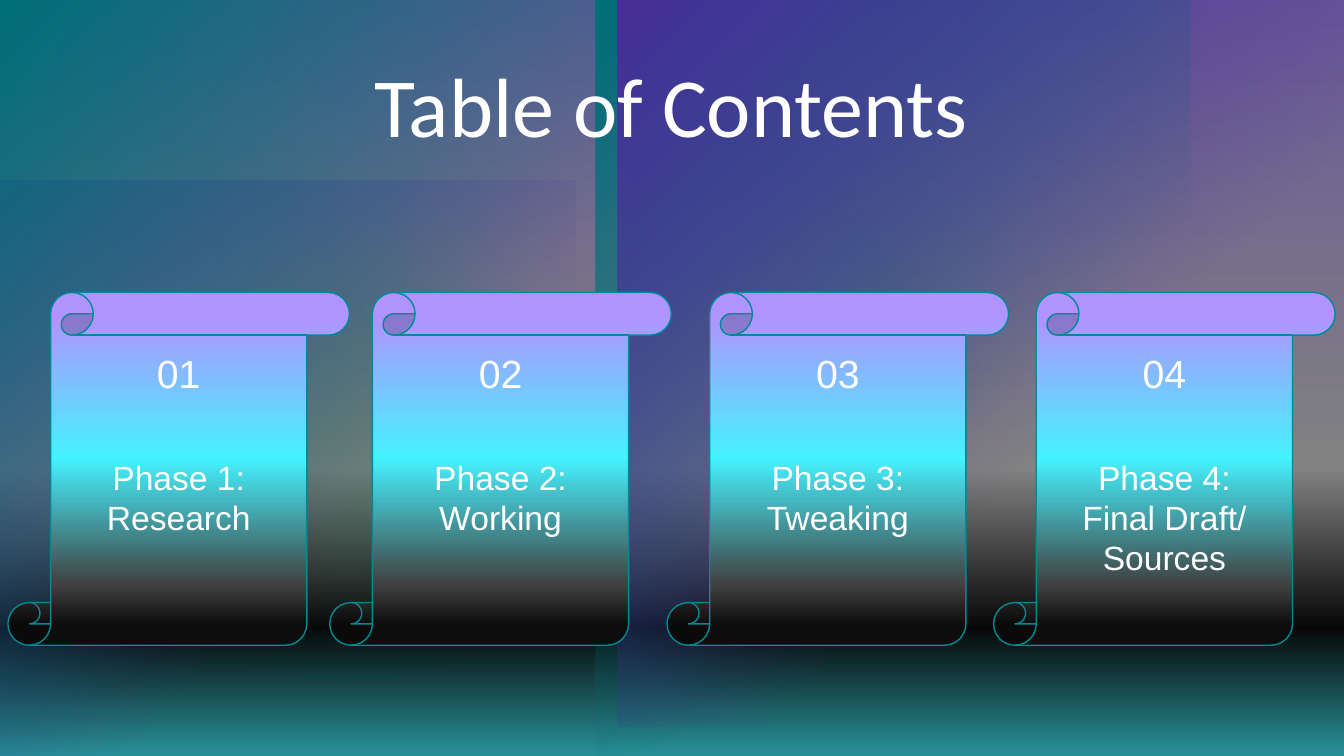
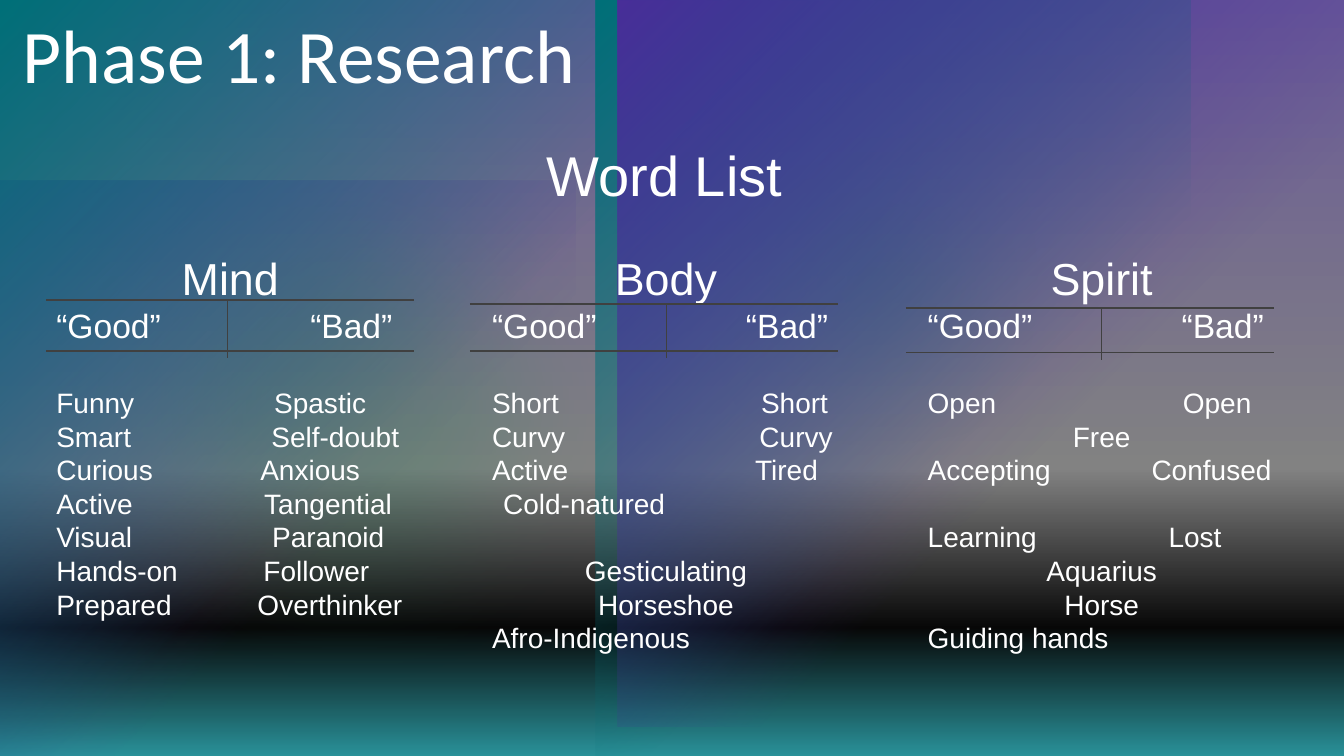
"""Build a two-slide deck: a table of contents and a word list."""
from lxml.etree import SubElement
from pptx import Presentation
from pptx.dml.color import RGBColor
from pptx.enum.shapes import MSO_CONNECTOR as Connector, MSO_SHAPE as Shape
from pptx.enum.text import MSO_ANCHOR as Anchor, PP_ALIGN as Align
from pptx.oxml.ns import qn
from pptx.util import Cm, Pt

COLOURS = {
    "text": "FFFFFF", "shade": "000000", "rule": "404040", "edge": "008A94",
    "lilac": "AF94FF", "silver": "D9D9D9", "ink": "0D0D0D", "aqua": "45F2FF",
    "violet": "794DFF", "teal": "00BAC8", "green": "00D17D",
}
PAGE_WIDTH, PAGE_HEIGHT = 33.87, 19.05
BACKDROP = [(0, "lilac", 100), (62, "silver", 100), (83, "ink", 100), (100, "aqua", 100)]
SCROLL = [(7, "lilac", 100), (47, "aqua", 100), (83, "rule", 100), (94, "ink", 100)]
PANELS = [
    (Shape.RECTANGLE, 0, 4.56, 14.5, 14.5, "violet", 60),
    (Shape.OVAL, 15.98, 1.1, 11.98, 11.98, "green", 60),
    (Shape.OVAL, 0, 1.42, 17.63, 17.63, "green", 20),
    (Shape.RECTANGLE, 0, 0, 15, PAGE_HEIGHT, "teal", 100),
    (Shape.RECTANGLE, 15, 0, 15, PAGE_HEIGHT, "teal", 100),
    (Shape.RECTANGLE, 15.56, 0, 18.31, 18.31, "violet", 100),
]
PHASES = [
    (0.2, ["Phase 1:", "Research"]),
    (8.31, ["Phase 2:", "Working"]),
    (16.81, ["Phase 3:", "Tweaking"]),
    (25.04, ["Phase 4:", "Final Draft/", "Sources"]),
]
WORD_LISTS = [
    ("Mind", (1.17, 7.57, 8.84, 5.74, 9.02), [
        ("Funny", "Spastic", 5.49), ("Smart", "Self-doubt", 5.42),
        ("Curious", "Anxious", 5.14), ("Active", "Tangential", 5.24),
        ("Visual", "Paranoid", 5.44), ("Hands-on", "Follower", 5.22),
        ("Prepared", "Overthinker", 5.07)]),
    ("Body", (11.84, 7.67, 8.84, 16.79, 9.02), [
        ("Short", "Short", 6.78), ("Curvy", "Curvy", 6.74),
        ("Active", "Tired", 6.63), ("", "Cold-natured", 0.28), None,
        "Gesticulating", "Horseshoe", ("Afro-Indigenous",)]),
    ("Spirit", (22.83, 7.75, 8.89, 27.76, 9.07), [
        ("Open", "Open", 6.43), "Free", ("Accepting", "Confused", 5.64), None,
        ("Learning", "Lost", 6.07), "Aquarius", "Horse", ("Guiding hands",)]),
]


class SlideBuilder:
    def __init__(self):
        self.deck = Presentation()
        self.deck.slide_width = Cm(PAGE_WIDTH)
        self.deck.slide_height = Cm(PAGE_HEIGHT)
        self.page = None

    def colour(self, name):
        return RGBColor.from_string(COLOURS[name])

    def opacity(self, colour_element, percent):
        if percent < 100:
            SubElement(colour_element, qn("a:alpha"), val=str(percent * 1000))

    def gradient(self, element, fill, stops, angle):
        fill.gradient()
        fill.gradient_angle = 360 - angle
        stop_list = next(element.iter(qn("a:gsLst")))
        for stop in list(stop_list):
            stop_list.remove(stop)
        for position, name, percent in stops:
            stop = SubElement(stop_list, qn("a:gs"), pos=str(position * 1000))
            colour_element = SubElement(stop, qn("a:srgbClr"), val=COLOURS[name])
            self.opacity(colour_element, percent)

    def shape(self, kind, left, top, width, height):
        shape = self.page.shapes.add_shape(kind, Cm(left), Cm(top), Cm(width), Cm(height))
        shape.shadow.inherit = False
        shape.line.fill.background()
        return shape

    def tint(self, shape, name, percent):
        shape.fill.solid()
        shape.fill.fore_color.rgb = self.colour(name)
        self.opacity(next(shape._element.spPr.iter(qn("a:srgbClr"))), percent)

    def new_page(self):
        self.page = self.deck.slides.add_slide(self.deck.slide_layouts[6])
        self.gradient(self.page._element, self.page.background.fill, BACKDROP, 90)
        for kind, left, top, width, height, name, percent in PANELS:
            panel = self.shape(kind, left, top, width, height)
            if kind == Shape.OVAL:
                self.tint(panel, name, percent)
                effects = panel._element.spPr.find(qn("a:effectLst"))
                SubElement(effects, qn("a:softEdge"), rad="1270000")
            else:
                stops = [(0, name, percent), (60, name, 0)]
                self.gradient(panel._element.spPr, panel.fill, stops, 45)
        veil = self.shape(Shape.RECTANGLE, 0, 0, PAGE_WIDTH, PAGE_HEIGHT)
        self.tint(veil, "shade", 40)

    def text_box(self, left, top, width, height):
        box = self.page.shapes.add_textbox(Cm(left), Cm(top), Cm(width), Cm(height))
        box.text_frame.word_wrap = True
        return box.text_frame

    def paragraph(self, frame, text, size, align=Align.LEFT, before=0, stop=None,
                  font="Arial", spacing=None):
        first = frame.paragraphs[0]
        para = first if not first.runs else frame.add_paragraph()
        para.alignment = align
        para.line_spacing = spacing or Pt(size * 1.2)
        if before:
            para.space_before = Pt(before)
        if stop:
            tabs = SubElement(para._p.get_or_add_pPr(), qn("a:tabLst"))
            SubElement(tabs, qn("a:tab"), pos=str(int(Cm(stop))), algn="l")
        span = para.add_run()
        span.text = text
        span.font.name = font
        span.font.size = Pt(size)
        span.font.color.rgb = self.colour("text")

    def title(self, text, size, left, top, width, height, align=Align.LEFT):
        frame = self.text_box(left, top, width, height)
        self.paragraph(frame, text, size, align, font="Calibri", spacing=0.9)

    def scroll(self, left, number, lines):
        scroll = self.shape(Shape.VERTICAL_SCROLL, left, 7.37, 8.61, 8.89)
        self.gradient(scroll._element.spPr, scroll.fill, SCROLL, 90)
        scroll.line.color.rgb = self.colour("edge")
        scroll.line.width = Pt(1)
        frame = scroll.text_frame
        frame.word_wrap = True
        frame.vertical_anchor = Anchor.TOP
        frame.margin_top = Cm(0.36)
        self.paragraph(frame, number, 28, Align.CENTER)
        for index, line in enumerate(lines):
            self.paragraph(frame, line, 24, Align.CENTER, before=0 if index else 43)

    def rule(self, start, end, weight=1):
        line = self.page.shapes.add_connector(
            Connector.STRAIGHT, *(Cm(value) for value in start + end))
        line.line.color.rgb = self.colour("rule")
        line.line.width = Pt(weight)
        SubElement(line._element.spPr, qn("a:effectLst"))

    def word_list(self, left, heading, rules, rows):
        frame = self.text_box(left, 6.2, 9.27, 11.2)
        self.paragraph(frame, heading, 32, Align.CENTER)
        self.paragraph(frame, "“Good”\t“Bad”", 24, stop=6.4)
        gap = 28.8
        for row in rows:
            if row is None:
                gap = 24
                continue
            if isinstance(row, str):
                self.paragraph(frame, row, 20, Align.CENTER, gap)
            else:
                stop = row[2] if len(row) == 3 else None
                self.paragraph(frame, "\t".join(row[:2]), 20, before=gap, stop=stop)
            gap = 0
        start, top, low, divider, foot = rules
        end = start + 9.27
        self.rule((start, top), (end, top), 1.5)
        self.rule((start, low), (end, low))
        self.rule((divider, top), (divider, foot))


def main():
    slides = SlideBuilder()
    slides.new_page()
    slides.title("Table of Contents", 60, 1.5, 1.5, 30.84, 5.03, Align.CENTER)
    for number, (left, lines) in enumerate(PHASES, 1):
        slides.scroll(left, f"{number:02}", lines)

    slides.new_page()
    slides.title("Phase 1: Research", 54, 0.33, 0.33, 15.5, 2.16)
    frame = slides.text_box(0.97, 3.42, 31.55, 1.96)
    slides.paragraph(frame, "Word List", 40, Align.CENTER)
    for index, (heading, rules, rows) in enumerate(WORD_LISTS):
        slides.word_list(1.17 + 10.98 * index, heading, rules, rows)
    slides.deck.save("out.pptx")


if __name__ == "__main__":
    main()
